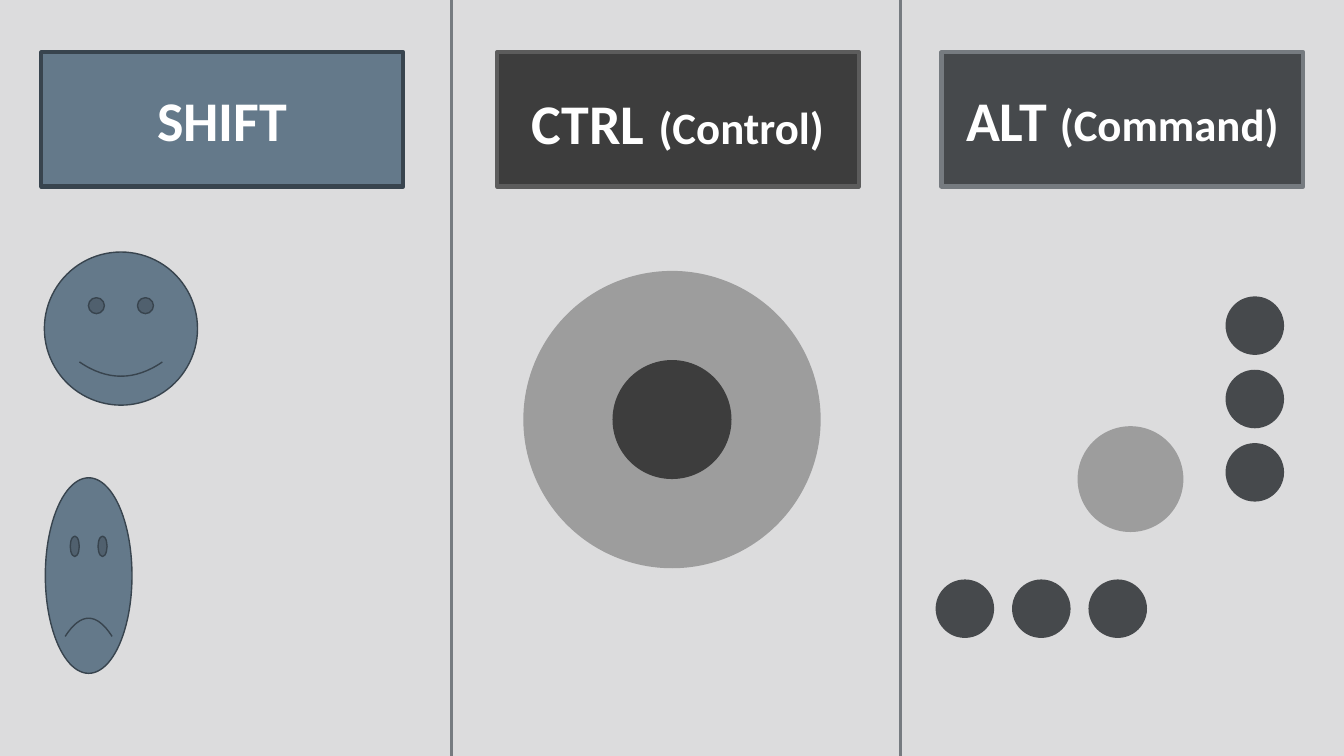
import pptx
import pptx.dml.color
import pptx.enum.shapes
import pptx.enum.text
import pptx.oxml
import pptx.util

Pt = pptx.util.Pt
SHAPES = pptx.enum.shapes.MSO_SHAPE

BACKGROUND = "DCDCDD"
BLUE, BLUE_EDGE = "64798A", "38444E"
CHARCOAL, CHARCOAL_EDGE = "3D3D3D", "5C5C5C"
SLATE, SLATE_EDGE = "46494C", "767B80"
GREY, WHITE = "9D9D9D", "FFFFFF"

SLIDE_WIDTH, SLIDE_HEIGHT = 960, 540


def color(hex_string):
    return pptx.dml.color.RGBColor.from_string(hex_string)


def add_run(paragraph, text, size=40, bold=True, fill=WHITE, font="Calibri"):
    run = paragraph.add_run()
    run.text = text
    run.font.size = Pt(size)
    run.font.bold = bold
    run.font.name = font
    run.font.color.rgb = color(fill)


class ShortcutSlide:
    header_top, header_width, header_height = 37.4, 258.5, 95.8

    def __init__(self, presentation):
        self.slide = presentation.slides.add_slide(presentation.slide_layouts[6])
        self.slide.background.fill.solid()
        self.slide.background.fill.fore_color.rgb = color(BACKGROUND)

    def shape(self, kind, left, top, width, height, fill, edge=None, edge_width=1):
        shape = self.slide.shapes.add_shape(
            kind, Pt(left), Pt(top), Pt(width), Pt(height))
        shape.shadow.inherit = False
        shape.fill.solid()
        shape.fill.fore_color.rgb = color(fill)
        if edge:
            shape.line.color.rgb = color(edge)
            shape.line.width = Pt(edge_width)
        else:
            shape.line.fill.background()
        return shape

    def header(self, left, fill, edge, runs):
        """Add a key name box; runs are pairs of text and size."""
        box = self.shape(SHAPES.RECTANGLE, left, self.header_top,
                         self.header_width, self.header_height, fill, edge, 3)
        box.text_frame.word_wrap = True
        box.text_frame.vertical_anchor = pptx.enum.text.MSO_ANCHOR.MIDDLE
        paragraph = box.text_frame.paragraphs[0]
        paragraph.alignment = pptx.enum.text.PP_ALIGN.CENTER
        for text, size in runs:
            add_run(paragraph, text, size=size)

    def divider(self, x):
        line = self.slide.shapes.add_connector(
            pptx.enum.shapes.MSO_CONNECTOR.STRAIGHT,
            Pt(x), Pt(0), Pt(x), Pt(SLIDE_HEIGHT))
        line.line.color.rgb = color(SLATE_EDGE)
        line.line.width = Pt(2.25)
        properties = line._element.spPr
        properties.append(pptx.oxml.parse_xml(
            '<a:effectLst xmlns:a='
            '"http://schemas.openxmlformats.org/drawingml/2006/main"/>'))

    def circle(self, center_x, center_y, diameter, fill):
        self.shape(SHAPES.OVAL, center_x - diameter / 2, center_y - diameter / 2,
                   diameter, diameter, fill)

    def face(self, left, top, width, height):
        return self.shape(SHAPES.SMILEY_FACE, left, top, width, height,
                          BLUE, BLUE_EDGE)


def main():
    presentation = pptx.Presentation()
    presentation.slide_width = Pt(SLIDE_WIDTH)
    presentation.slide_height = Pt(SLIDE_HEIGHT)
    slide = ShortcutSlide(presentation)

    for x in (322.6, 643):
        slide.divider(x)

    slide.header(29.5, BLUE, BLUE_EDGE, [("SHIFT", 40)])
    slide.header(355, CHARCOAL, CHARCOAL_EDGE,
                 [("CTRL", 40), (" ", 44), ("(Control)", 32)])
    slide.header(672.5, SLATE, SLATE_EDGE, [("ALT ", 40), ("(Command)", 32)])

    slide.face(31.7, 180, 109.4, 109.4)
    stretched_face = slide.face(32.4, 341.3, 61.9, 139.7)
    stretched_face.adjustments[0] = -0.047

    for diameter, fill in ((212.4, GREY), (85, CHARCOAL)):
        slide.circle(480, 299.7, diameter, fill)

    dot_diameter = 41.8
    for step in range(3):
        slide.circle(896.3, 232.6 + 52.4 * step, dot_diameter, SLATE)
        slide.circle(689.2 + 54.6 * step, 434.8, dot_diameter, SLATE)
    slide.circle(807.5, 342.2, 75.6, GREY)

    presentation.save("out.pptx")


if __name__ == "__main__":
    main()
